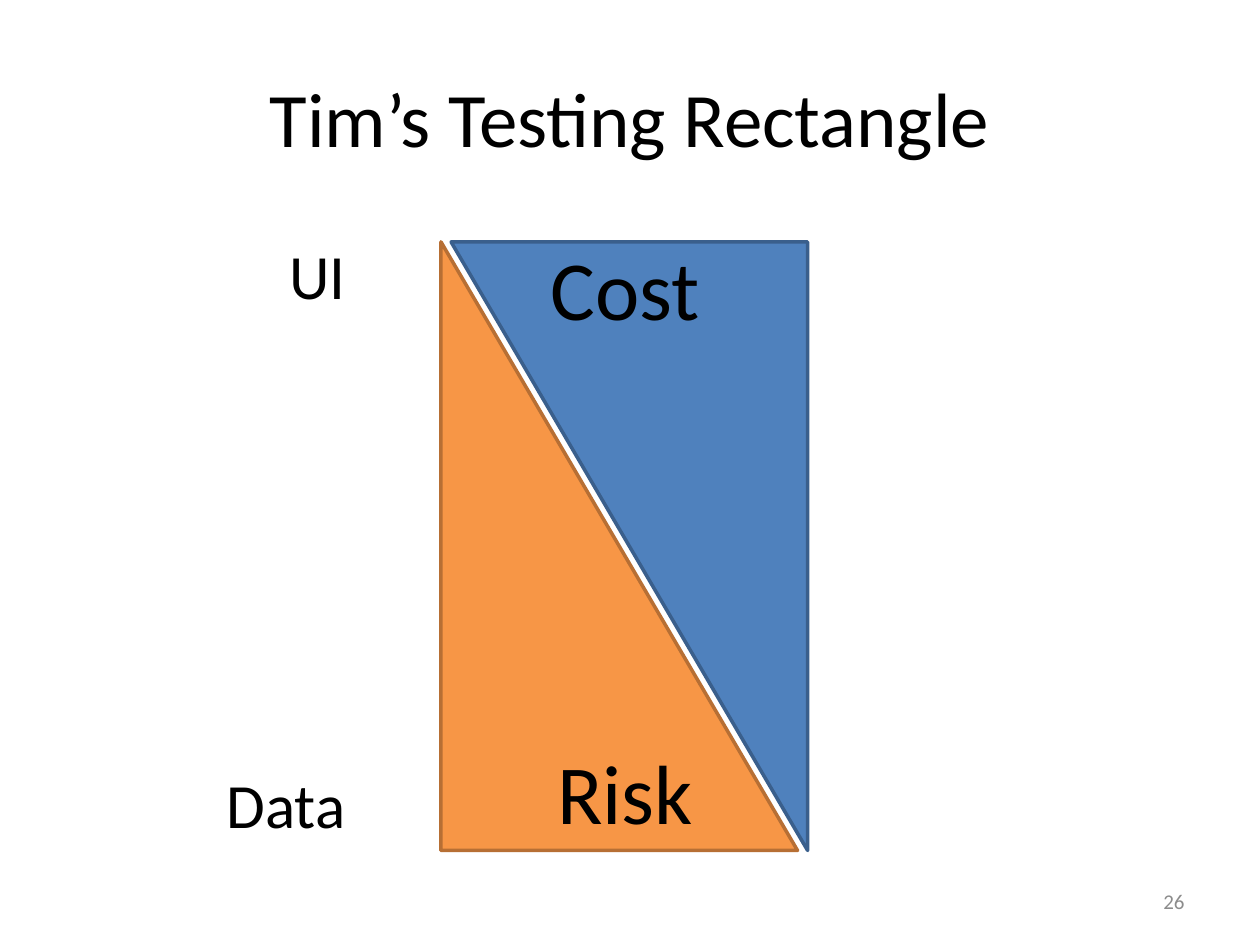
from dataclasses import dataclass

from pptx import Presentation
from pptx.dml.color import RGBColor
from pptx.enum import shapes, text
from pptx.util import Inches, Pt

MID, RIGHT = text.PP_ALIGN.CENTER, text.PP_ALIGN.RIGHT


@dataclass(frozen=True)
class Theme:
    font: str = "Calibri"
    ink: str = "000000"
    grey: str = "8C8C8C"
    risk: tuple = ("F79646", "B76F34")  # fill, line
    cost: tuple = ("4F81BD", "3A5F8C")
    title: int = 44
    big: int = 48
    label: int = 36
    small: int = 12
    line: int = 2


class Deck:
    def __init__(self, theme):
        self.theme = theme
        self.prs = Presentation()
        self.prs.slide_width, self.prs.slide_height = Inches(10), Inches(7.5)
        self.slide = self.prs.slides.add_slide(self.prs.slide_layouts[5])

    def style(self, shape, words, size, color, align, anchor):
        frame = shape.text_frame
        frame.word_wrap = True
        frame.vertical_anchor = anchor
        frame.text = words
        para = frame.paragraphs[0]
        para.alignment = align
        para.font.name = self.theme.font
        para.font.size = Pt(size)
        para.font.color.rgb = RGBColor.from_string(color)

    def title(self, words, box):
        shape = self.slide.shapes.title
        shape.left, shape.top, shape.width, shape.height = map(Inches, box)
        self.style(shape, words, self.theme.title, self.theme.ink, MID,
                   text.MSO_ANCHOR.MIDDLE)

    def label(self, words, box, size, align, color=None,
              anchor=text.MSO_ANCHOR.TOP):
        shape = self.slide.shapes.add_textbox(*map(Inches, box))
        self.style(shape, words, size, color or self.theme.ink, align, anchor)

    def wedge(self, box, colors, turn=0):
        shape = self.slide.shapes.add_shape(
            shapes.MSO_SHAPE.RIGHT_TRIANGLE, *map(Inches, box))
        fill, line = map(RGBColor.from_string, colors)
        shape.shadow.inherit = False
        shape.rotation = turn
        shape.fill.solid()
        shape.fill.fore_color.rgb = fill
        shape.line.color.rgb = line
        shape.line.width = Pt(self.theme.line)


def main():
    theme = Theme()
    deck = Deck(theme)
    deck.title("Tim’s Testing Rectangle", (0.5, 0.3, 9, 1.25))

    # Two triangles that make up the rectangle
    left, top, wide, high, gap = 3.5, 1.92, 2.83, 4.83, 0.08
    deck.wedge((left, top, wide, high), theme.risk)
    deck.wedge((left + gap, top, wide, high), theme.cost, turn=180)

    # Names of the triangles
    for words, y in (("Risk", 5.83), ("Cost", 1.83)):
        deck.label(words, (left, y, 2.92, 0.91), theme.big, MID)

    # Ends of the scale at the left
    for words, y in (("UI", 1.83), ("Data", 6.03)):
        deck.label(words, (0.42, y, 2.42, 0.71), theme.label, RIGHT)

    # Slide number
    deck.label("26", (7.17, 6.95, 2.33, 0.4), theme.small, RIGHT,
               theme.grey, text.MSO_ANCHOR.MIDDLE)

    deck.prs.save("out.pptx")


if __name__ == "__main__":
    main()
